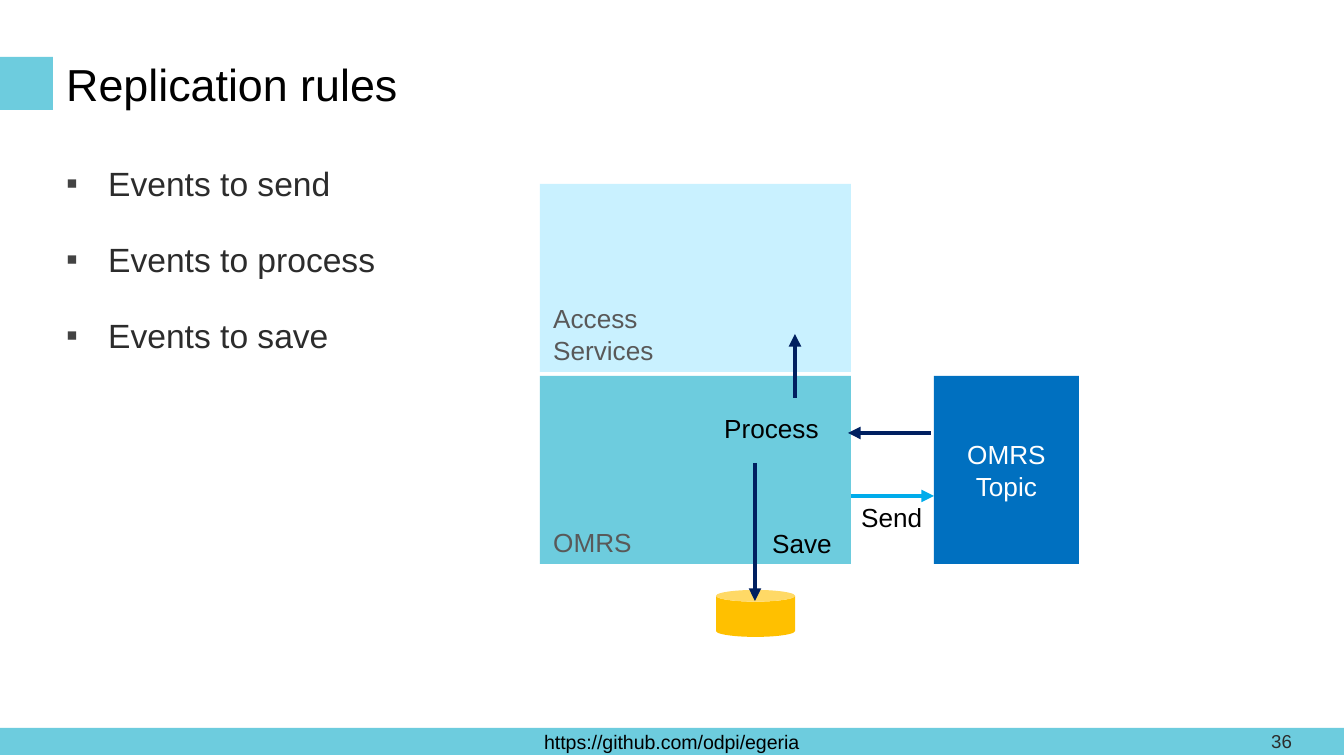
import pptx
import pptx.dml.color
import pptx.enum.shapes
import pptx.enum.text
import pptx.oxml
import pptx.oxml.ns
import pptx.util

SCALE = 914400 / 134.4
SHAPE = pptx.enum.shapes.MSO_SHAPE
ALIGN = pptx.enum.text.PP_ALIGN
ANCHOR = pptx.enum.text.MSO_ANCHOR
TEAL, NAVY, BLACK, GREY, DARK = "6DCCDE", "002060", "000000", "595959", "2C2C2C"
NAMESPACE = pptx.oxml.ns.nsdecls("a")
rgb = pptx.dml.color.RGBColor.from_string


def px(*lengths):
    return [pptx.util.Emu(int(length * SCALE)) for length in lengths]


def write(shape, text, size=14, color=BLACK, align=ALIGN.LEFT, anchor=ANCHOR.TOP,
          wrap=True, bullet=None):
    frame = shape.text_frame
    frame.word_wrap = wrap
    frame.vertical_anchor = anchor
    for index, line in enumerate(text.split("\n")):
        paragraph = frame.add_paragraph() if index else frame.paragraphs[0]
        paragraph.alignment = align
        if bullet:
            properties = paragraph._p.get_or_add_pPr()
            indent = px(42)[0]
            properties.set("marL", str(indent))
            properties.set("indent", str(-indent))
            for xml in (f'<a:buClr {NAMESPACE}><a:srgbClr val="434343"/></a:buClr>',
                        f'<a:buFont {NAMESPACE} typeface="Arial"/>',
                        f'<a:buChar {NAMESPACE} char="{bullet}"/>'):
                properties.append(pptx.oxml.parse_xml(xml))
            paragraph.line_spacing = 1.15
            paragraph.space_after = pptx.util.Pt(16)
        run = paragraph.add_run()
        run.text = line
        run.font.name = "Arial"
        run.font.size = pptx.util.Pt(size)
        run.font.color.rgb = rgb(color)


presentation = pptx.Presentation()
presentation.slide_width, presentation.slide_height = px(1344, 756)
slide = presentation.slides.add_slide(presentation.slide_layouts[6])

# Filled shapes: footer bar, title marker, layers, topic and store
for kind, box, fill, text, style in (
    (SHAPE.RECTANGLE, (0, 728, 1344, 27), TEAL, "https://github.com/odpi/egeria",
     dict(size=10.5, align=ALIGN.CENTER, anchor=ANCHOR.MIDDLE)),
    (SHAPE.RECTANGLE, (0, 57, 53, 53), TEAL, None, {}),
    (SHAPE.RECTANGLE, (540, 184, 311, 188), "C9F1FF", "Access\nServices",
     dict(color=GREY, anchor=ANCHOR.BOTTOM)),
    (SHAPE.RECTANGLE, (540, 376, 311, 188), TEAL, "OMRS",
     dict(color=GREY, anchor=ANCHOR.BOTTOM)),
    (SHAPE.RECTANGLE, (934, 376, 145, 188), "0070C0", "OMRS Topic",
     dict(color="FFFFFF", align=ALIGN.CENTER, anchor=ANCHOR.MIDDLE)),
    (SHAPE.CAN, (716, 590, 79, 47), "FFC000", None, {}),
):
    shape = slide.shapes.add_shape(kind, *px(*box))
    shape.shadow.inherit = False
    shape.fill.solid()
    shape.fill.fore_color.rgb = rgb(fill)
    shape.line.fill.background()
    if text:
        write(shape, text, **style)

# Event flow arrows: process, send, receive, save
for ends, color in (
    ((795, 398, 795, 334), NAVY),
    ((851, 496, 934, 496), "00ACEB"),
    ((931, 433, 848, 433), NAVY),
    ((755, 463, 755, 601), NAVY),
):
    arrow = slide.shapes.add_connector(pptx.enum.shapes.MSO_CONNECTOR.STRAIGHT, *px(*ends))
    arrow.line.width = pptx.util.Pt(2.25)
    arrow.line.color.rgb = rgb(color)
    arrow.line._get_or_add_ln().append(
        pptx.oxml.parse_xml(f'<a:tailEnd {NAMESPACE} type="triangle"/>'))
    arrow._element.spPr.append(pptx.oxml.parse_xml(f"<a:effectLst {NAMESPACE}/>"))

# Title, bullets, arrow labels and slide number
for text, box, style in (
    ("Replication rules", (53, 41, 1246, 85), dict(size=24, anchor=ANCHOR.MIDDLE)),
    ("Events to send\nEvents to process\nEvents to save", (53, 150, 1246, 522),
     dict(size=18, color=DARK, bullet="▪")),
    ("Save", (759, 521, 87, 46), dict(wrap=False)),
    ("Process", (711, 406, 122, 46), dict(wrap=False)),
    ("Send", (848, 495, 89, 46), dict(wrap=False)),
    ("36", (1258, 728, 81, 27), dict(size=10, color=DARK, anchor=ANCHOR.MIDDLE)),
):
    write(slide.shapes.add_textbox(*px(*box)), text, **style)

presentation.save("out.pptx")
